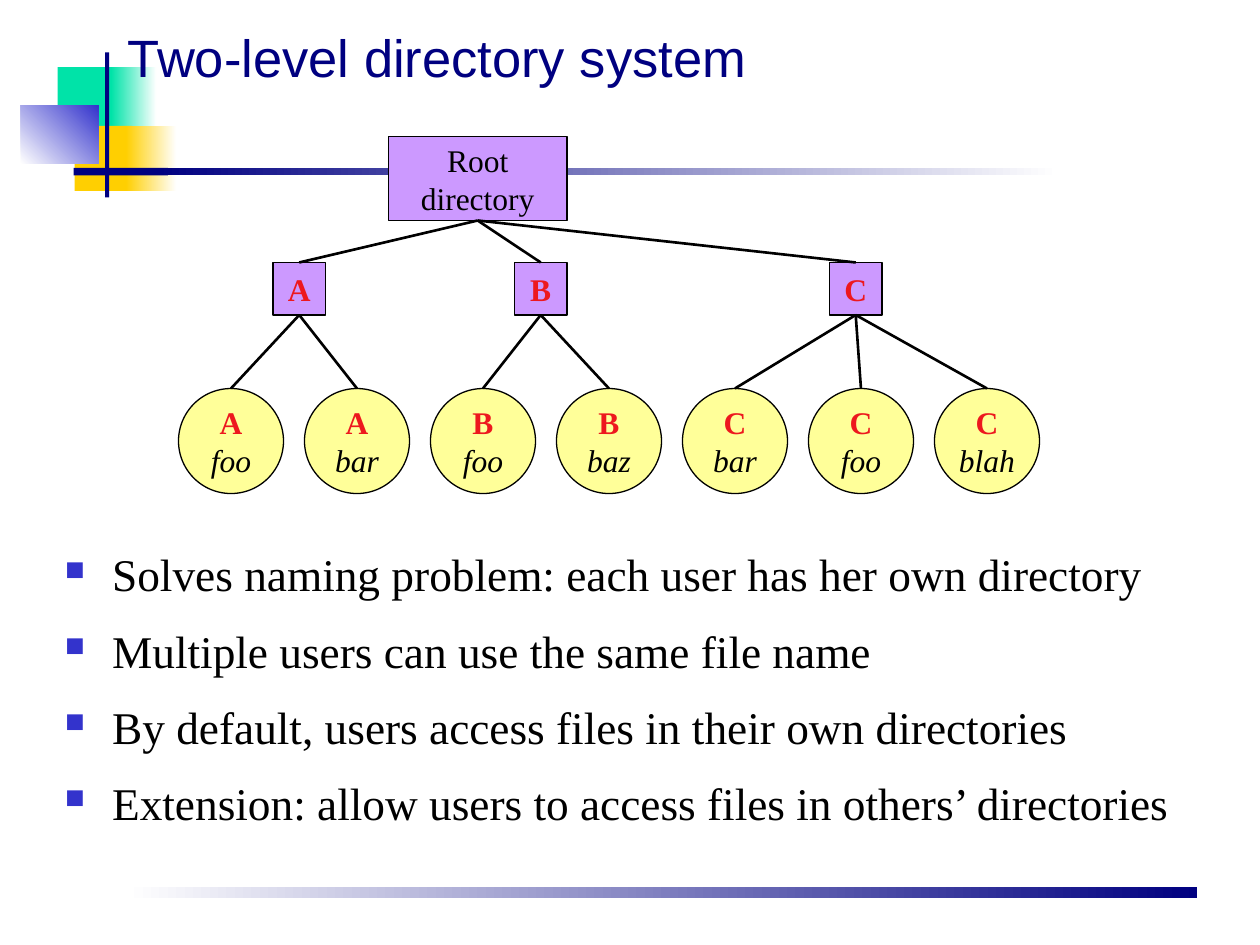
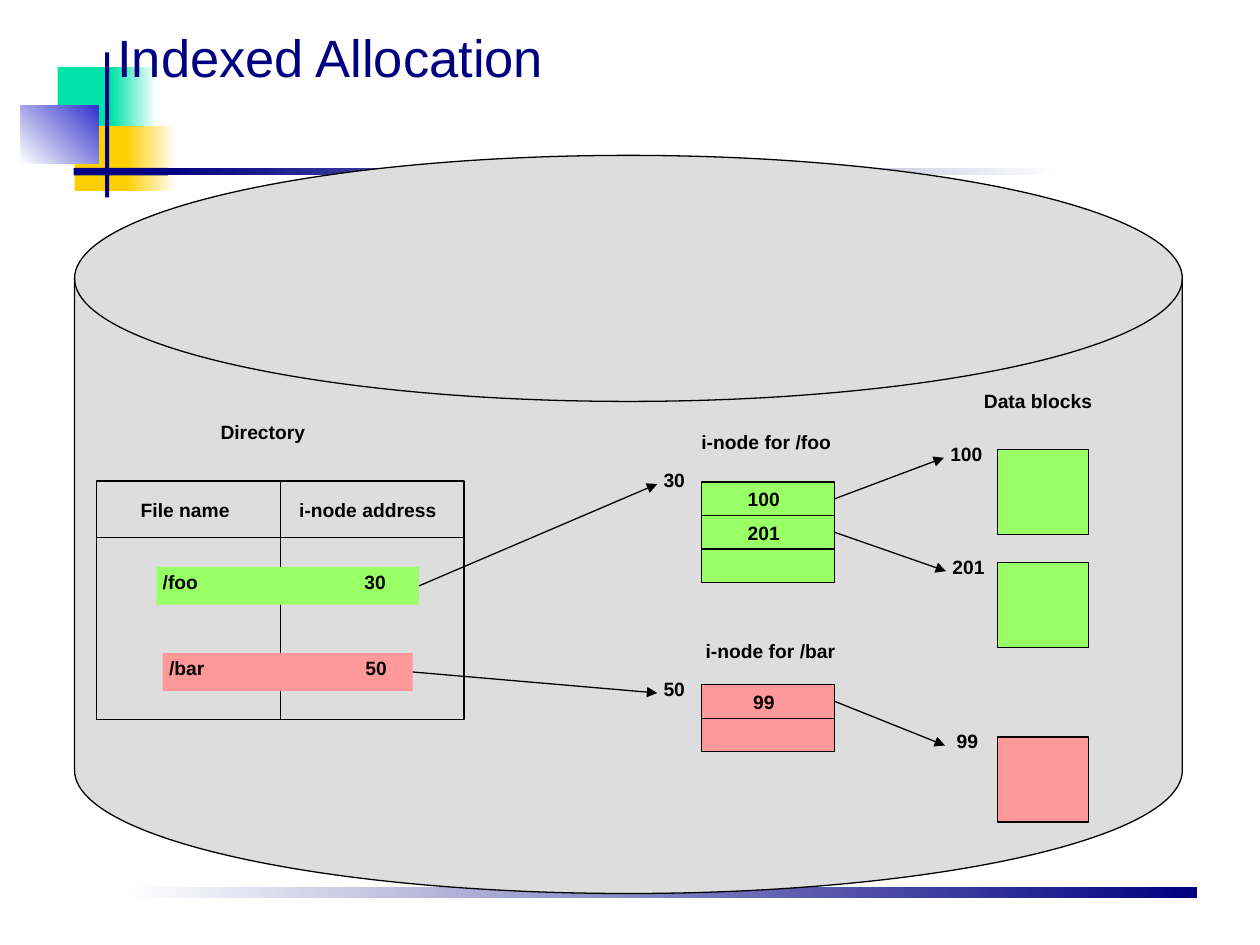
"""Build two slides on file systems: a directory tree and indexed allocation."""
from dataclasses import dataclass
from typing import NamedTuple, Optional

from lxml.etree import SubElement
from pptx import Presentation
from pptx.dml.color import RGBColor
from pptx.enum.shapes import MSO_CONNECTOR, MSO_SHAPE
from pptx.enum.text import MSO_ANCHOR, PP_ALIGN
from pptx.oxml.ns import qn
from pptx.util import Emu, Pt

EMU_PER_PX = 7620
TOP, BOTTOM, LEFT_SIDE, RIGHT_SIDE = 0, 2, 1, 3
COLORS = {
    "navy": "000080", "blue": "3333CC", "mint": "00E3A8", "gold": "FFCF01",
    "white": "FFFFFF", "black": "000000", "red": "ED181E", "violet": "CC99FF",
    "cream": "FFFF99", "gray": "DDDDDD", "green": "99FF66", "pink": "FF9999",
}


class Area(NamedTuple):
    """Left, top, width and height in px."""
    left: int
    top: int
    width: int
    height: int


class Style(NamedTuple):
    """Character formatting."""
    name: str
    size: float
    color: str = "black"
    bold: bool = False
    italic: bool = False


class Span(NamedTuple):
    """One line of text with its style."""
    text: str
    style: Style


@dataclass(frozen=True)
class Block:
    """A preset shape, or a text box when kind is None."""
    area: Area
    kind: Optional[MSO_SHAPE] = None
    fill: Optional[str] = None
    outline: Optional[str] = None
    lines: tuple[Span, ...] = ()
    insets: tuple[int, int, int, int] = (12, 6, 12, 6)
    anchor: MSO_ANCHOR = MSO_ANCHOR.TOP
    align: PP_ALIGN = PP_ALIGN.LEFT
    wrap: bool = True
    tab: int = 0


class Band(NamedTuple):
    """A decorative bar, plain or fading to a second colour."""
    area: Area
    color: str
    end_color: Optional[str] = None
    angle: int = 0


class User(NamedTuple):
    """A user directory and the files in it."""
    name: str
    left: int
    files: tuple[str, ...]


class Inode(NamedTuple):
    """An i-node with its directory row, slots and labels."""
    file: str
    address: str
    color: str
    row: Area
    tab: int
    top: int
    slots: tuple[str, ...]
    title_at: tuple[int, int]
    label_top: int


class DataBlock(NamedTuple):
    """A data block, its number and the place of its label."""
    number: str
    color: str
    top: int
    label_left: int
    label_top: int
    pad: int = 6


TITLE = Style("Arial", 30, "navy")
BODY = Style("Times New Roman", 25.9)
NODE = Style("Times New Roman", 18)
OWNER = NODE._replace(color="red", bold=True)
FILE = NODE._replace(italic=True)
LABEL = Style("Arial", 11, bold=True)
TIGHT = (6, 3, 6, 3)
SLOT_INSETS = (6, 3, 14, 3)

BANDS = (
    Band(Area(120, 845, 1020, 10), "white", "navy"),
    Band(Area(55, 64, 58, 62), "mint"),
    Band(Area(106, 64, 43, 62), "mint", "white"),
    Band(Area(71, 120, 55, 62), "gold"),
    Band(Area(120, 120, 48, 62), "gold", "white"),
    Band(Area(20, 100, 74, 56), "white", "blue", 45),
    Band(Area(100, 50, 4, 138), "navy"),
    Band(Area(70, 160, 90, 7), "navy"),
    Band(Area(150, 160, 859, 7), "navy", "white"),
)
USERS = (
    User("A", 260, ("foo", "bar")),
    User("B", 490, ("foo", "baz")),
    User("C", 790, ("bar", "foo", "blah")),
)
POINTS = (
    "Solves naming problem: each user has her own directory",
    "Multiple users can use the same file name",
    "By default, users access files in their own directories",
    "Extension: allow users to access files in others’ directories",
)
INODES = (
    Inode("/foo", "30", "green", Area(149, 540, 250, 36), 192, 459,
          ("100", "201", ""), (662, 407), 443),
    Inode("/bar", "50", "pink", Area(155, 622, 238, 36), 187, 652,
          ("99", ""), (666, 606), 642),
)
DATA_BLOCKS = (
    DataBlock("100", "green", 428, 899, 418),
    DataBlock("201", "green", 536, 901, 526),
    DataBlock("99", "pink", 702, 900, 692, 11),
)


def px(value: int) -> Emu:
    """Turn px into EMU."""
    return Emu(value * EMU_PER_PX)


def rgb(color: str) -> RGBColor:
    """Look up a named colour."""
    return RGBColor.from_string(COLORS[color])


def set_font(font, style: Style) -> None:
    """Apply a style to a font."""
    font.name, font.size = style.name, Pt(style.size)
    font.bold, font.italic = style.bold, style.italic
    font.color.rgb = rgb(style.color)


def write_lines(para, lines: tuple[Span, ...]) -> None:
    """Write lines into one paragraph, parted by line breaks."""
    uniform = len({line.style for line in lines}) == 1
    if uniform:
        set_font(para.font, lines[0].style)
    for index, line in enumerate(lines):
        if index:
            para.add_line_break()
        span = para.add_run()
        span.text = line.text
        if not uniform:
            set_font(span.font, line.style)


def draw_block(page, block: Block):
    """Draw a shape or text box with its text."""
    place = [px(value) for value in block.area]
    if block.kind is None:
        box = page.shapes.add_textbox(*place)
    else:
        box = page.shapes.add_shape(block.kind, *place)
        box.shadow.inherit = False
        if block.fill:
            box.fill.solid()
            box.fill.fore_color.rgb = rgb(block.fill)
        else:
            box.fill.background()
        if block.outline:
            box.line.color.rgb = rgb(block.outline)
            box.line.width = Pt(0.75)
        else:
            box.line.fill.background()
    if block.lines:
        frame = box.text_frame
        frame.word_wrap = block.wrap
        frame.vertical_anchor = block.anchor
        (frame.margin_left, frame.margin_top,
         frame.margin_right, frame.margin_bottom) = map(px, block.insets)
        para = frame.paragraphs[0]
        para.alignment = block.align
        if block.tab:
            stops = SubElement(para._p.get_or_add_pPr(), qn("a:tabLst"))
            SubElement(stops, qn("a:tab"), pos=str(px(block.tab)), algn="l")
        write_lines(para, block.lines)
    return box


def draw_label(page, area: Area, *columns: str, tab: int = 0, pad: int = 6, fill: Optional[str] = None):
    """Draw small bold text, in columns if several are given."""
    kind = MSO_SHAPE.RECTANGLE if fill else None
    text = "\t".join(columns)
    return draw_block(page, Block(area, kind, fill, lines=(Span(text, LABEL),), insets=(pad, 3, 6, 3), tab=tab))


def draw_line(page, start: tuple[int, int], end: tuple[int, int], width: float = 0.75):
    """Draw a plain black line."""
    line = page.shapes.add_connector(MSO_CONNECTOR.STRAIGHT, *map(px, start + end))
    line.line.color.rgb = rgb("black")
    line.line.width = Pt(width)
    SubElement(line._element.spPr, qn("a:effectLst"))
    return line


def join(page, source, source_side: int, target, target_side: int, width: float = 0.75, arrow: bool = False) -> None:
    """Join the sides of two shapes with a line or an arrow."""
    line = draw_line(page, (0, 0), (0, 0), width)
    line.begin_connect(source, source_side)
    line.end_connect(target, target_side)
    if arrow:
        SubElement(line.line._get_or_add_ln(), qn("a:tailEnd"), type="triangle")


def add_page(deck, title: str, title_left: int):
    """Add a slide with the shared bands and a title."""
    page = deck.slides.add_slide(deck.slide_layouts[6])
    for band in BANDS:
        bar = draw_block(page, Block(band.area, MSO_SHAPE.RECTANGLE, band.color))
        if band.end_color:
            bar.fill.gradient()
            bar.fill.gradient_angle = band.angle
            for stop, color in zip(bar.fill.gradient_stops, (band.color, band.end_color)):
                stop.color.rgb = rgb(color)
    draw_block(page, Block(Area(title_left, 10, 1020, 80), lines=(Span(title, TITLE),), anchor=MSO_ANCHOR.BOTTOM))
    return page


def draw_node(page, area: Area, kind: MSO_SHAPE, fill: str, *lines: Span):
    """Draw a tree node."""
    return draw_block(page, Block(area, kind, fill, "black", lines, anchor=MSO_ANCHOR.MIDDLE,
                                  align=PP_ALIGN.CENTER, wrap=False))


def draw_points(page) -> None:
    """Write the bulleted list."""
    frame = page.shapes.add_textbox(*map(px, Area(50, 494, 1150, 314))).text_frame
    frame.word_wrap = True
    for index, point in enumerate(POINTS):
        para = frame.add_paragraph() if index else frame.paragraphs[0]
        properties = para._p.get_or_add_pPr()
        properties.set("marL", str(px(45)))
        properties.set("indent", str(px(-45)))
        color = SubElement(properties, qn("a:buClr"))
        SubElement(color, qn("a:srgbClr"), val=COLORS["blue"])
        SubElement(properties, qn("a:buSzPct"), val="60000")
        SubElement(properties, qn("a:buChar"), char="■")
        para.line_spacing = 1.4
        write_lines(para, (Span(point, BODY),))


def build_tree(deck) -> None:
    """Build the two-level directory slide."""
    page = add_page(deck, "Two-level directory system", 110)
    draw_points(page)
    root = draw_node(page, Area(370, 130, 170, 80), MSO_SHAPE.RECTANGLE, "violet",
                     Span("Root", NODE), Span("directory", NODE))
    leaf_left = 170
    for user in USERS:
        folder = draw_node(page, Area(user.left, 250, 50, 50), MSO_SHAPE.RECTANGLE, "violet", Span(user.name, OWNER))
        join(page, root, BOTTOM, folder, TOP, 1.5)
        for file in user.files:
            leaf = draw_node(page, Area(leaf_left, 370, 100, 100), MSO_SHAPE.OVAL, "cream",
                             Span(user.name, OWNER), Span(file, FILE))
            join(page, folder, BOTTOM, leaf, TOP, 1.5)
            leaf_left += 120


def build_allocation(deck) -> None:
    """Build the indexed allocation slide."""
    page = add_page(deck, "Indexed Allocation", 100)
    draw_block(page, Block(Area(71, 148, 1055, 703), MSO_SHAPE.FLOWCHART_MAGNETIC_DISK, "gray", "black"))
    directory = draw_block(page, Block(Area(92, 458, 350, 227), MSO_SHAPE.RECTANGLE, outline="black"))
    join(page, directory, TOP, directory, BOTTOM)
    draw_line(page, (92, 512), (442, 512))
    draw_label(page, Area(128, 472, 314, 36), "File name", "i-node address", tab=151)
    draw_label(page, Area(204, 397, 140, 36), "Directory")
    draw_label(page, Area(931, 368, 143, 36), "Data blocks")
    number_labels = {}
    for data in DATA_BLOCKS:
        draw_block(page, Block(Area(950, data.top, 87, 81), MSO_SHAPE.RECTANGLE, data.color, "black"))
        number_labels[data.number] = draw_label(
            page, Area(data.label_left, data.label_top, 66, 36), data.number, pad=data.pad)
    for inode in INODES:
        row = draw_label(page, inode.row, inode.file, inode.address, tab=inode.tab, fill=inode.color)
        draw_label(page, Area(*inode.title_at, 162, 36), f"i-node for {inode.file}")
        address = draw_label(page, Area(626, inode.label_top, 50, 36), inode.address)
        join(page, row, RIGHT_SIDE, address, LEFT_SIDE, arrow=True)
        for index, number in enumerate(inode.slots):
            lines = (Span(number, LABEL),) if number else ()
            slot = draw_block(page, Block(Area(668, inode.top + 32 * index, 127, 32), MSO_SHAPE.RECTANGLE,
                                          inode.color, "black", lines, SLOT_INSETS,
                                          MSO_ANCHOR.MIDDLE, PP_ALIGN.CENTER))
            if number:
                join(page, slot, RIGHT_SIDE, number_labels[number], LEFT_SIDE, arrow=True)


def main() -> None:
    """Build and save the deck."""
    deck = Presentation()
    deck.slide_width, deck.slide_height = px(1200), px(900)
    build_tree(deck)
    build_allocation(deck)
    deck.save("out.pptx")


if __name__ == "__main__":
    main()
